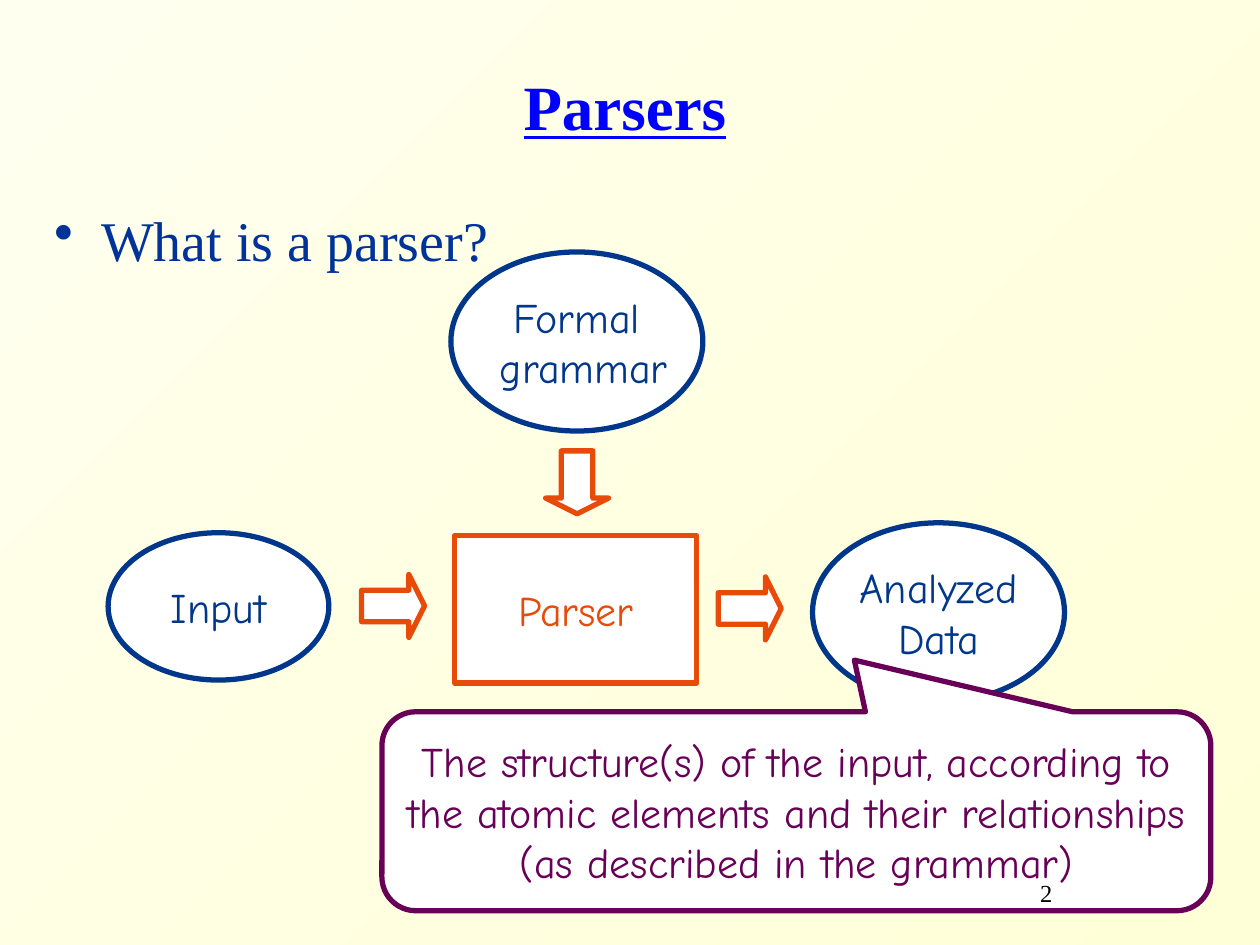
"""Build the slide that explains what a parser is."""
from dataclasses import dataclass

from lxml import etree
from pptx import Presentation
from pptx.dml.color import RGBColor
from pptx.enum.shapes import MSO_SHAPE
from pptx.enum.text import MSO_ANCHOR, PP_ALIGN
from pptx.oxml.ns import qn
from pptx.util import Cm, Pt

ELLIPSE = MSO_SHAPE.OVAL
RECTANGLE = MSO_SHAPE.RECTANGLE
CALLOUT = MSO_SHAPE.ROUNDED_RECTANGULAR_CALLOUT
DOWN_ARROW = MSO_SHAPE.DOWN_ARROW
MIDDLE, TOP = MSO_ANCHOR.MIDDLE, MSO_ANCHOR.TOP
CENTER, LEFT = PP_ALIGN.CENTER, PP_ALIGN.LEFT

SERIF = "Times New Roman"
HAND = "Comic Neue"
COLORS = {
    "cream": "FFFFD7",
    "ivory": "FFFFEF",
    "title": "0000FF",
    "question": "003399",
    "data": "00378A",
    "process": "E84A09",
    "remark": "690057",
    "white": "FFFFFF",
    "black": "000000",
}
ARROW_SIZE = 1.27


@dataclass
class Node:
    """A labelled outline shape, measured in centimetres."""
    kind: int
    label: str
    color: str
    left: float
    top: float
    width: float
    height: float
    wrap: bool = False
    adjustments: tuple = ()


@dataclass
class Arrow:
    """A block arrow, measured in centimetres."""
    left: float
    top: float
    rotation: int = 0


@dataclass
class Caption:
    """A plain text box, measured in centimetres."""
    text: str
    color: str
    size: int
    left: float
    top: float
    width: float
    height: float
    align: int = LEFT
    anchor: int = TOP


TITLE = Caption("Parsers", "title", 36, 2.54, 1.07, 20.12, 2.34, CENTER, MIDDLE)
QUESTION = Caption("What is a parser?", "question", 32, 0.84, 4.01, 23.93, 13.54)
PAGE_NUMBER = Caption("2", "black", 14, 20.12, 17.58, 5.28, 1.27)

NODES = [
    Node(RECTANGLE, "Parser", "process", 9.17, 10.8, 4.88, 2.97),
    Node(ELLIPSE, "Formal\n grammar", "data", 9.09, 5.08, 5.08, 3.61),
    Node(ELLIPSE, "Input", "data", 2.18, 10.74, 4.45, 2.97),
    Node(ELLIPSE, "Analyzed\nData", "data", 16.38, 10.54, 5.08, 3.61),
    Node(CALLOUT,
         "The structure(s) of the input, according to the atomic elements "
         "and their relationships (as described in the grammar)",
         "remark", 7.7, 14.35, 16.71, 4.01, True, (0.07, -0.76, 0.17)),
]
ARROWS = [Arrow(11, 9.09), Arrow(7.29, 11.58, 270), Arrow(14.48, 11.63, 270)]


def rgb(name: str) -> RGBColor:
    """Look up a named colour."""
    return RGBColor.from_string(COLORS[name])


def format_text(frame, font: str, size: int, color: str, align: int, anchor: int) -> None:
    """Apply one style to every run of a text frame."""
    frame.vertical_anchor = anchor
    for paragraph in frame.paragraphs:
        paragraph.alignment = align
        for run in paragraph.runs:
            run.font.name = font
            run.font.size = Pt(size)
            run.font.color.rgb = rgb(color)


def outline(shape, color: str) -> None:
    """Give a shape a white fill and a coloured border."""
    shape.shadow.inherit = False
    shape.fill.solid()
    shape.fill.fore_color.rgb = rgb("white")
    shape.line.color.rgb = rgb(color)
    shape.line.width = Pt(3)


def draw_node(slide, node: Node) -> None:
    """Draw a labelled shape."""
    shape = slide.shapes.add_shape(
        node.kind, Cm(node.left), Cm(node.top), Cm(node.width), Cm(node.height))
    for index, value in enumerate(node.adjustments):
        shape.adjustments[index] = value
    outline(shape, node.color)
    frame = shape.text_frame
    frame.text = node.label
    frame.word_wrap = node.wrap
    format_text(frame, HAND, 24, node.color, CENTER, MIDDLE)


def draw_arrow(slide, arrow: Arrow) -> None:
    """Draw a block arrow."""
    shape = slide.shapes.add_shape(
        DOWN_ARROW, Cm(arrow.left), Cm(arrow.top), Cm(ARROW_SIZE), Cm(ARROW_SIZE))
    shape.adjustments[0] = 0.5
    shape.adjustments[1] = 0.25
    shape.rotation = arrow.rotation
    outline(shape, "process")


def draw_caption(slide, caption: Caption):
    """Draw a text box and return its paragraph."""
    box = slide.shapes.add_textbox(
        Cm(caption.left), Cm(caption.top), Cm(caption.width), Cm(caption.height))
    frame = box.text_frame
    frame.word_wrap = True
    frame.text = caption.text
    format_text(frame, SERIF, caption.size, caption.color, caption.align, caption.anchor)
    return frame.paragraphs[0]


def indent(paragraph, margin: float, first_line: float = 0) -> None:
    """Set the left margin and first-line indent in centimetres."""
    properties = paragraph._p.get_or_add_pPr()
    properties.set("marL", str(Cm(margin)))
    properties.set("indent", str(Cm(first_line)))


def add_bullet(paragraph, color: str) -> None:
    """Put a coloured round bullet before a paragraph."""
    properties = paragraph._p.get_or_add_pPr()
    bullet_color = etree.SubElement(properties, qn("a:buClr"))
    etree.SubElement(bullet_color, qn("a:srgbClr")).set("val", COLORS[color])
    etree.SubElement(properties, qn("a:buChar")).set("char", "•")


def paint_background(slide) -> None:
    """Fill the background with a diagonal gradient."""
    fill = slide.background.fill
    fill.gradient()
    fill.gradient_angle = 135
    for stop, name in zip(fill.gradient_stops, ("cream", "ivory")):
        stop.color.rgb = rgb(name)


def main() -> None:
    """Build and save the presentation."""
    presentation = Presentation()
    presentation.slide_width = Cm(25.4)
    presentation.slide_height = Cm(19.05)
    slide = presentation.slides.add_slide(presentation.slide_layouts[6])
    paint_background(slide)

    title = draw_caption(slide, TITLE)
    title.line_spacing = 0.85
    title.runs[0].font.bold = True
    title.runs[0].font.underline = True

    question = draw_caption(slide, QUESTION)
    indent(question, 0.95, -0.95)
    add_bullet(question, "question")

    for arrow in ARROWS:
        draw_arrow(slide, arrow)
    for node in NODES:
        draw_node(slide, node)

    indent(draw_caption(slide, PAGE_NUMBER), 0.6)
    presentation.save("out.pptx")


if __name__ == "__main__":
    main()
